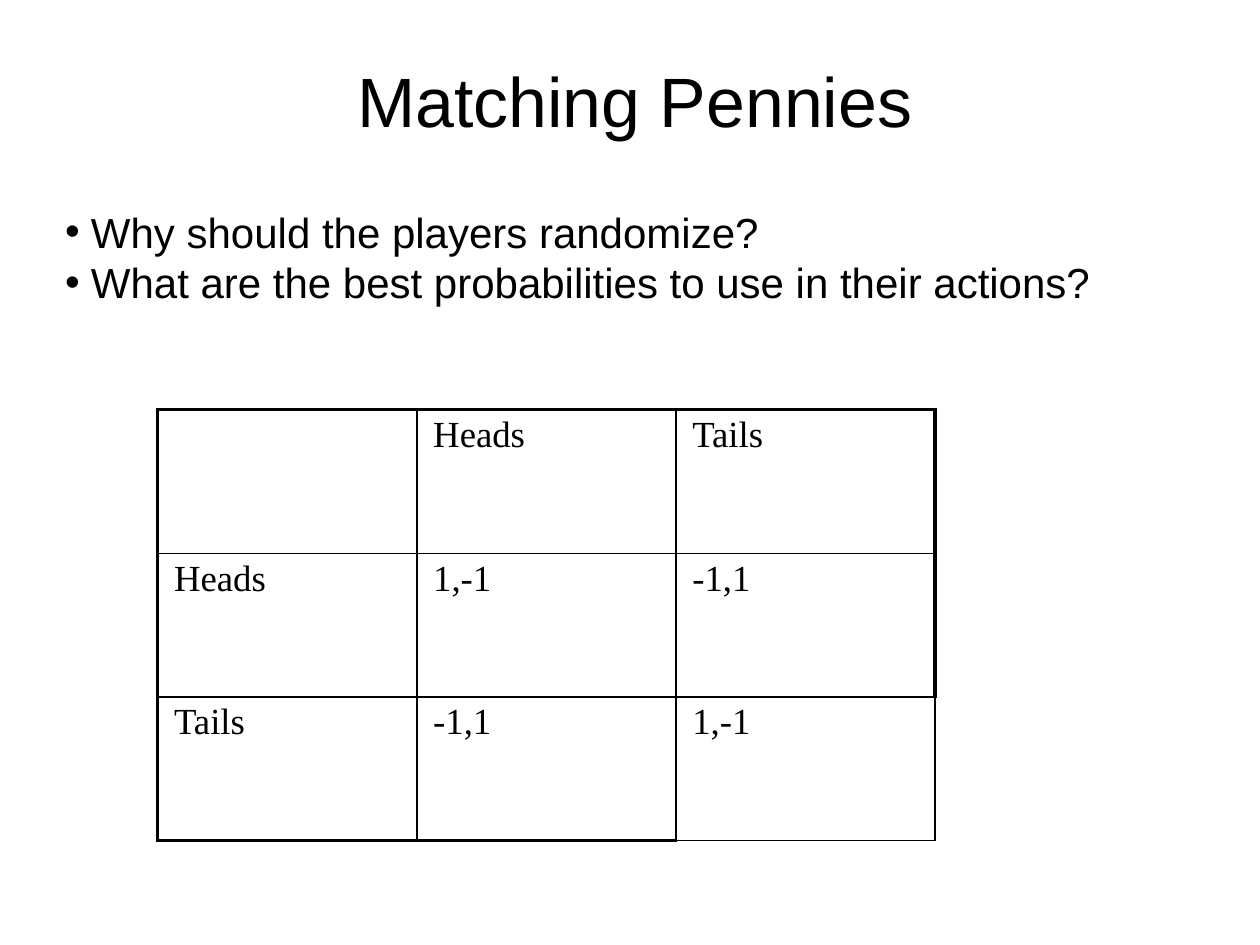
from pptx import Presentation
from pptx import util as u
from pptx.dml.color import RGBColor
from pptx.enum import text
from pptx.oxml import parse_xml
from pptx.oxml.ns import nsdecls

INK = "000000"
THIN, THICK = 1, 2.25


def tint(code):
    return RGBColor.from_string(code)


def put(item, vals):
    for key, val in vals.items():
        setattr(item, key, val)


class Page:
    """Holds the style and the current slide."""

    def __init__(self, deck):
        self.slide = deck.slides.add_slide(deck.slide_layouts[1])

    def font(self, para, name, size):
        put(para.font, {"name": name, "size": u.Pt(size), "bold": False})
        para.font.color.rgb = tint(INK)

    def place(self, shape, box):
        for key, val in zip(("left", "top", "width", "height"), box):
            setattr(shape, key, u.Cm(val))

    def title(self, words, box):
        shape = self.slide.shapes.title
        self.place(shape, box)
        frame = shape.text_frame
        put(frame, {"text": words, "auto_size": text.MSO_AUTO_SIZE.NONE,
                    "vertical_anchor": text.MSO_ANCHOR.MIDDLE,
                    "margin_left": 0, "margin_right": 0,
                    "margin_top": 0, "margin_bottom": 0})
        para = frame.paragraphs[0]
        put(para, {"alignment": text.PP_ALIGN.CENTER, "line_spacing": 0.9})
        self.font(para, "Arial", 39.9)

    def list(self, lines, box):
        shape = self.slide.placeholders[1]
        self.place(shape, box)
        frame = shape.text_frame
        put(frame, {"text": "\n".join(lines), "word_wrap": True,
                    "auto_size": text.MSO_AUTO_SIZE.NONE})
        hang = u.Cm(0.52)
        for para in frame.paragraphs:
            put(para, {"space_before": u.Pt(0), "line_spacing": u.Pt(29)})
            self.font(para, "Arial", 24)
            props = para._p.get_or_add_pPr()
            props.set("marL", str(hang))
            props.set("indent", str(-hang))

    def edge(self, cell, sides):
        # Border lines come before the fill in the cell properties
        props = cell._tc.get_or_add_tcPr()
        for spot, (side, wide) in enumerate(sides.items()):
            props.insert(spot, parse_xml(
                f'<a:ln{side} {nsdecls("a")} w="{u.Pt(wide)}"><a:solidFill>'
                f'<a:srgbClr val="{INK}"/></a:solidFill></a:ln{side}>'))

    def table(self, rows, box):
        high, wide = len(rows), len(rows[0])
        grid = self.slide.shapes.add_table(high, wide, *map(u.Cm, box)).table
        put(grid, {"first_row": False, "horz_banding": False})
        for r, row in enumerate(rows):
            for c, words in enumerate(row):
                cell = grid.cell(r, c)
                put(cell, {"text": words,
                           "vertical_anchor": text.MSO_ANCHOR.TOP,
                           "margin_left": u.Cm(0.33),
                           "margin_right": u.Cm(0.33),
                           "margin_top": u.Cm(0.1),
                           "margin_bottom": u.Cm(0.1)})
                self.font(cell.text_frame.paragraphs[0], "Times New Roman", 21)
                cell.fill.background()
                # Thick outer frame, except around the last cell
                last = (r, c) == (high - 1, wide - 1)
                heavy = {"L": c == 0, "R": c == wide - 1 and not last,
                         "T": r == 0, "B": r == high - 1 and not last}
                self.edge(cell, {side: THICK if on else THIN
                                 for side, on in heavy.items()})


def main():
    deck = Presentation()
    put(deck, {"slide_width": u.Cm(25.4), "slide_height": u.Cm(19.05)})
    page = Page(deck)

    # Heading and questions
    page.title("Matching Pennies", (2.01, 0.53, 21.59, 3.18))
    page.list(["Why should the players randomize?",
               "What are the best probabilities to use in their actions?"],
              (1.06, 4.02, 23.5, 2.3))

    # Payoff matrix
    page.table([["", "Heads", "Tails"],
                ["Heads", "1,-1", "-1,1"],
                ["Tails", "-1,1", "1,-1"]], (3.18, 8.26, 15.67, 8.69))

    deck.save("out.pptx")


if __name__ == "__main__":
    main()
